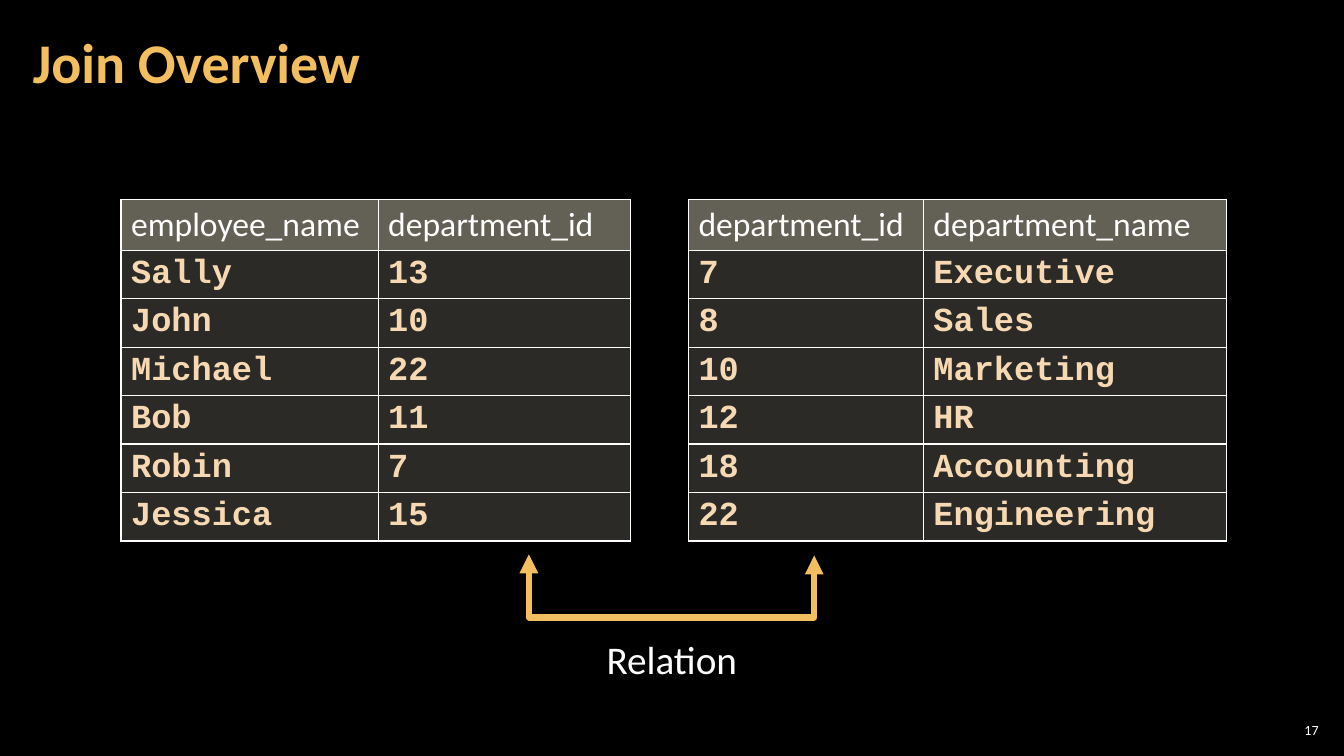
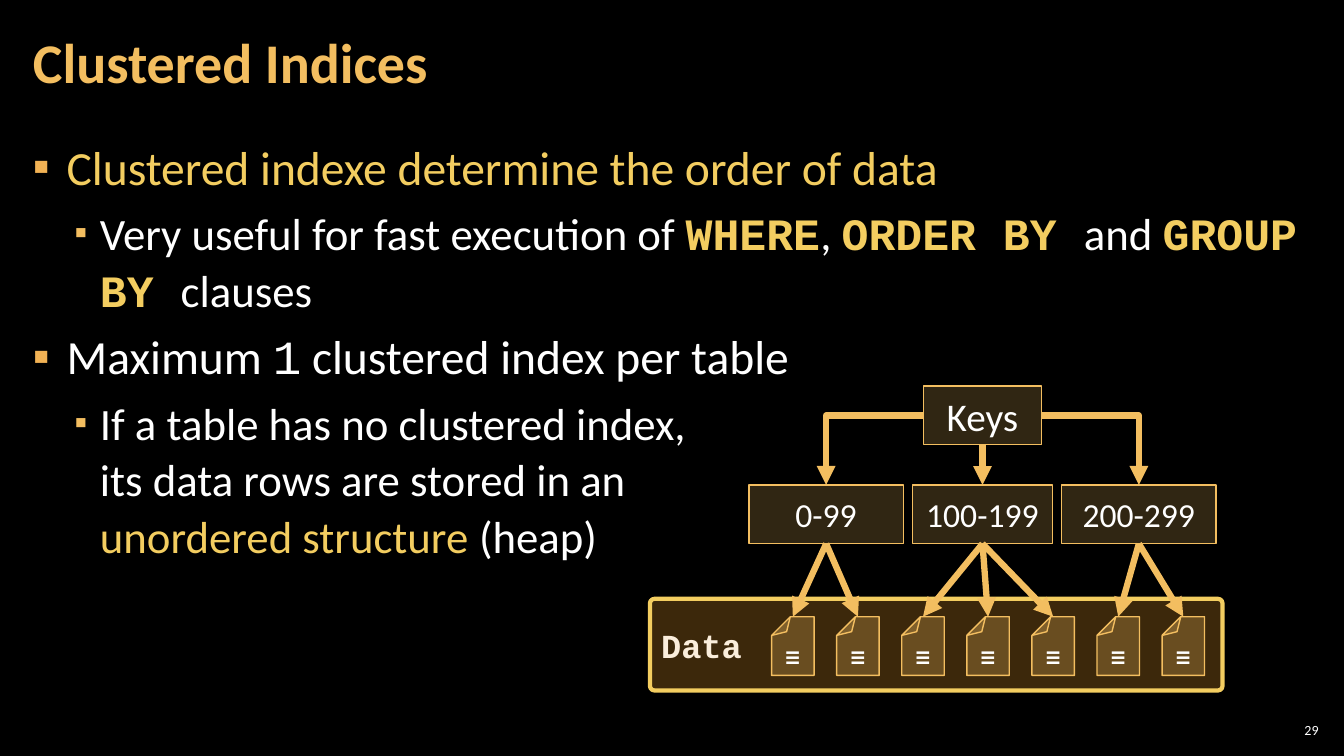
from lxml.etree import SubElement
from pptx import Presentation
from pptx.dml.color import RGBColor
from pptx.enum.shapes import MSO_CONNECTOR, MSO_SHAPE
from pptx.enum.text import MSO_ANCHOR, PP_ALIGN
from pptx.oxml.ns import qn
from pptx.util import Cm, Pt

BLACK = RGBColor(0x00, 0x00, 0x00)
WHITE = RGBColor(0xFF, 0xFF, 0xFF)
GOLD = RGBColor(0xF3, 0xBE, 0x60)
YELLOW = RGBColor(0xF3, 0xCD, 0x60)
ORANGE = RGBColor(0xF0, 0xA2, 0x2E)
BULLET = RGBColor(0xF2, 0xB2, 0x54)
SAND = RGBColor(0xF6, 0xD9, 0xB2)
CREAM = RGBColor(0xFB, 0xEE, 0xDC)
HEADER = RGBColor(0xC6, 0xC0, 0xAA)
CELL = RGBColor(0xD9, 0xD5, 0xC7)
SANS, MONO = "Calibri", "Courier New"


def write(p, text, size, color=WHITE, font=SANS, bold=False):
    r = p.add_run()
    r.text = text
    r.font.size, r.font.name, r.font.bold = Pt(size), font, bold
    r.font.color.rgb = color


def tint(fill, color, opacity):
    """Solid fill with the given opacity in percent."""
    fill.solid()
    fill.fore_color.rgb = color
    clr = fill._xPr.find(qn("a:solidFill"))[0]
    SubElement(clr, qn("a:alpha"), val=str(opacity * 1000))


prs = Presentation()
prs.slide_width, prs.slide_height = Cm(33.87), Cm(19.05)
background = prs.slide_master.background.fill
background.solid()
background.fore_color.rgb = BLACK

# Slides with title and page number
slides = []
for title, number in [("Join Overview", "17"), ("Clustered Indices", "29")]:
    s = prs.slides.add_slide(prs.slide_layouts[5])
    sp = s.shapes.title
    sp.left, sp.top, sp.width, sp.height = Cm(0.53), Cm(0.1), Cm(26.6), Cm(3.07)
    tf = sp.text_frame
    tf.vertical_anchor = MSO_ANCHOR.MIDDLE
    tf.margin_left = tf.margin_right = Cm(0.3)
    tf.margin_top = tf.margin_bottom = Cm(0.1)
    p = tf.paragraphs[0]
    p.alignment, p.line_spacing = PP_ALIGN.LEFT, 0.9
    write(p, title, 40, GOLD, bold=True)

    tf = s.shapes.add_textbox(Cm(32.13), Cm(18.14), Cm(1.2), Cm(0.53)).text_frame
    tf.word_wrap = True
    tf.vertical_anchor = MSO_ANCHOR.MIDDLE
    tf.margin_left = tf.margin_right = tf.margin_top = tf.margin_bottom = Cm(0.1)
    p = tf.paragraphs[0]
    p.alignment = PP_ALIGN.RIGHT
    write(p, number, 10)
    slides.append(s)
join, clustered = slides
connectors = []

# Join: the two tables
tables = [
    (3.05, (6.48, 6.35), [
        ("employee_name", "department_id"), ("Sally", "13"), ("John", "10"),
        ("Michael", "22"), ("Bob", "11"), ("Robin", "7"), ("Jessica", "15")]),
    (17.35, (5.92, 7.64), [
        ("department_id", "department_name"), ("7", "Executive"), ("8", "Sales"),
        ("10", "Marketing"), ("12", "HR"), ("18", "Accounting"),
        ("22", "Engineering")]),
]
for left, widths, rows in tables:
    table = join.shapes.add_table(len(rows), 2, Cm(left), Cm(5.03),
                                  Cm(sum(widths)), Cm(8.6)).table
    for column, width in zip(table.columns, widths):
        column.width = Cm(width)
    for i, row in enumerate(rows):
        table.rows[i].height = Cm(1.22 if i else 1.28)
        for j, text in enumerate(row):
            cell = table.cell(i, j)
            tcPr = cell._tc.get_or_add_tcPr()
            for side in ("a:lnL", "a:lnR", "a:lnT", "a:lnB"):
                ln = SubElement(tcPr, qn(side), w=str(Pt(1)))
                SubElement(SubElement(ln, qn("a:solidFill")), qn("a:srgbClr"),
                           val=str(WHITE))
            p = cell.text_frame.paragraphs[0]
            if i == 0:
                tint(cell.fill, HEADER, 50)
                write(p, text, 24)
            else:
                tint(cell.fill, CELL, 20)
                p.line_spacing = 0.95
                write(p, text, 24, SAND, MONO, True)

# Join: U-shaped relation arrow, an elbow turned by 270 degrees
relation = join.shapes.add_connector(MSO_CONNECTOR.ELBOW, Cm(16.94), Cm(10.39),
                                     Cm(16.91), Cm(17.58))
relation._element.spPr.find(qn("a:xfrm")).set("rot", str(270 * 60000))
guides = relation._element.spPr.find(qn("a:prstGeom")).get_or_add_avLst()
SubElement(guides, qn("a:gd"), name="adj1", fmla="val 5300000")
connectors.append(relation)

tf = join.shapes.add_textbox(Cm(15.01), Cm(15.88), Cm(3.84), Cm(1.45)).text_frame
tf.word_wrap = False
p = tf.paragraphs[0]
p.alignment = PP_ALIGN.CENTER
write(p, "Relation", 28)

# Clustered: bullet text, None marks a line break
code = (YELLOW, MONO, True)
bullets = [
    (0, [("Clustered indexe determine the order of data", YELLOW)]),
    (1, [("Very useful for fast execution of ",), ("WHERE", *code), (", ",),
         ("ORDER BY ", *code), ("and ",), ("GROUP BY ", *code), ("clauses",)]),
    (0, [("Maximum ",), ("1", WHITE, MONO), (" clustered index per table",)]),
    (1, [("If a table has no clustered index,",), None,
         ("its data rows are stored in an",), None,
         ("unordered structure ", YELLOW), ("(heap)",)]),
]
levels = [(34, 0.85, 0.85, BULLET, 100), (32, 1.69, 0.64, GOLD, 80)]
tf = clustered.shapes.add_textbox(Cm(0.53), Cm(3.3), Cm(32.79), Cm(14.5)).text_frame
tf.word_wrap = True
tf.margin_left = tf.margin_right = Cm(0.3)
tf.margin_top = tf.margin_bottom = Cm(0.1)
for i, (level, runs) in enumerate(bullets):
    size, margin, hanging, color, percent = levels[level]
    p = tf.add_paragraph() if i else tf.paragraphs[0]
    p.level = level
    pPr = p._p.get_or_add_pPr()
    pPr.set("marL", str(Cm(margin)))
    pPr.set("indent", str(-Cm(hanging)))
    SubElement(SubElement(pPr, qn("a:buClr")), qn("a:srgbClr"), val=str(color))
    SubElement(pPr, qn("a:buSzPct"), val=str(percent * 1000))
    SubElement(pPr, qn("a:buFont"), typeface=SANS)
    SubElement(pPr, qn("a:buChar"), char="▪")
    p.line_spacing, p.space_after = 1.05, Pt(3)
    if i:
        p.space_before = Pt(3)
    for run in runs:
        if run is None:
            p.add_line_break()
        else:
            write(p, run[0], size, *run[1:])

# Clustered: root and key ranges
CENTER, PITCH, BOX_H = 24.76, 3.94, 1.48
boxes = []
for text, column, top, width, size in [
        ("Keys", 0, 9.73, 2.97, 28), ("0-99", -1, 12.22, 3.89, 24),
        ("100-199", 0, 12.22, 3.53, 24), ("200-299", 1, 12.22, 3.89, 24)]:
    sp = clustered.shapes.add_shape(
        MSO_SHAPE.RECTANGLE, Cm(CENTER + column * PITCH - width / 2), Cm(top),
        Cm(width), Cm(BOX_H))
    sp.shadow.inherit = False
    tint(sp.fill, GOLD, 20)
    sp.line.color.rgb, sp.line.width = GOLD, Pt(1)
    sp.text_frame.vertical_anchor = MSO_ANCHOR.MIDDLE
    p = sp.text_frame.paragraphs[0]
    p.alignment = PP_ALIGN.CENTER
    write(p, text, size)
    boxes.append(sp)
keys, *ranges = boxes

# Clustered: data store with its pages
sp = clustered.shapes.add_shape(MSO_SHAPE.ROUNDED_RECTANGLE, Cm(16.38), Cm(15.09),
                                Cm(14.43), Cm(2.31))
sp.adjustments[0] = 0.05
sp.shadow.inherit = False
tint(sp.fill, ORANGE, 25)
sp.line.color.rgb, sp.line.width = YELLOW, Pt(3)
sp.text_frame.vertical_anchor = MSO_ANCHOR.MIDDLE
p = sp.text_frame.paragraphs[0]
p.alignment = PP_ALIGN.LEFT
write(p, "Data", 24, CREAM, MONO, True)

PAGE_TOP, PAGE_W = 15.54, 1.07
page_centers = [19.98 + 1.64 * i for i in range(7)]
for x in page_centers:
    sp = clustered.shapes.add_shape(MSO_SHAPE.FOLDED_CORNER, Cm(x - PAGE_W / 2),
                                    Cm(PAGE_TOP), Cm(PAGE_W), Cm(1.48))
    sp.rotation = 180
    guides = sp._element.spPr.find(qn("a:prstGeom")).get_or_add_avLst()
    SubElement(guides, qn("a:gd"), name="adj", fmla="val 44000")
    sp.shadow.inherit = False
    tint(sp.fill, GOLD, 25)
    sp.line.color.rgb, sp.line.width = GOLD, Pt(1)
    tf = clustered.shapes.add_textbox(Cm(x - 0.85), Cm(15.98), Cm(1.7),
                                      Cm(1.02)).text_frame
    tf.word_wrap = True
    p = tf.paragraphs[0]
    p.alignment = PP_ALIGN.CENTER
    write(p, "☰", 18, WHITE, MONO, True)

# Clustered: arrows from root to ranges (sites: 0 top, 1 left, 2 bottom, 3 right)
for box, site in zip(ranges, (1, 2, 3)):
    kind = MSO_CONNECTOR.STRAIGHT if site == 2 else MSO_CONNECTOR.ELBOW
    arrow = clustered.shapes.add_connector(kind, 0, 0, 0, 0)
    arrow.begin_connect(keys, site)
    arrow.end_connect(box, 0)
    if site != 2:
        arrow._element.spPr.find(qn("a:prstGeom")).set("prst", "bentConnector2")
    connectors.append(arrow)

# Clustered: arrows from ranges to pages
for box, pages in zip(ranges, (page_centers[:2], page_centers[2:5], page_centers[5:])):
    for x in pages:
        arrow = clustered.shapes.add_connector(
            MSO_CONNECTOR.STRAIGHT, box.left + box.width // 2, box.top + box.height,
            Cm(x), Cm(PAGE_TOP))
        connectors.append(arrow)

# Common arrow style
for arrow in connectors:
    arrow.line.color.rgb, arrow.line.width = GOLD, Pt(4.5)
    ln = arrow.line._get_or_add_ln()
    if arrow is relation:
        SubElement(ln, qn("a:headEnd"), type="triangle")
    SubElement(ln, qn("a:tailEnd"), type="triangle")
    SubElement(arrow._element.spPr, qn("a:effectLst"))

prs.save("out.pptx")
